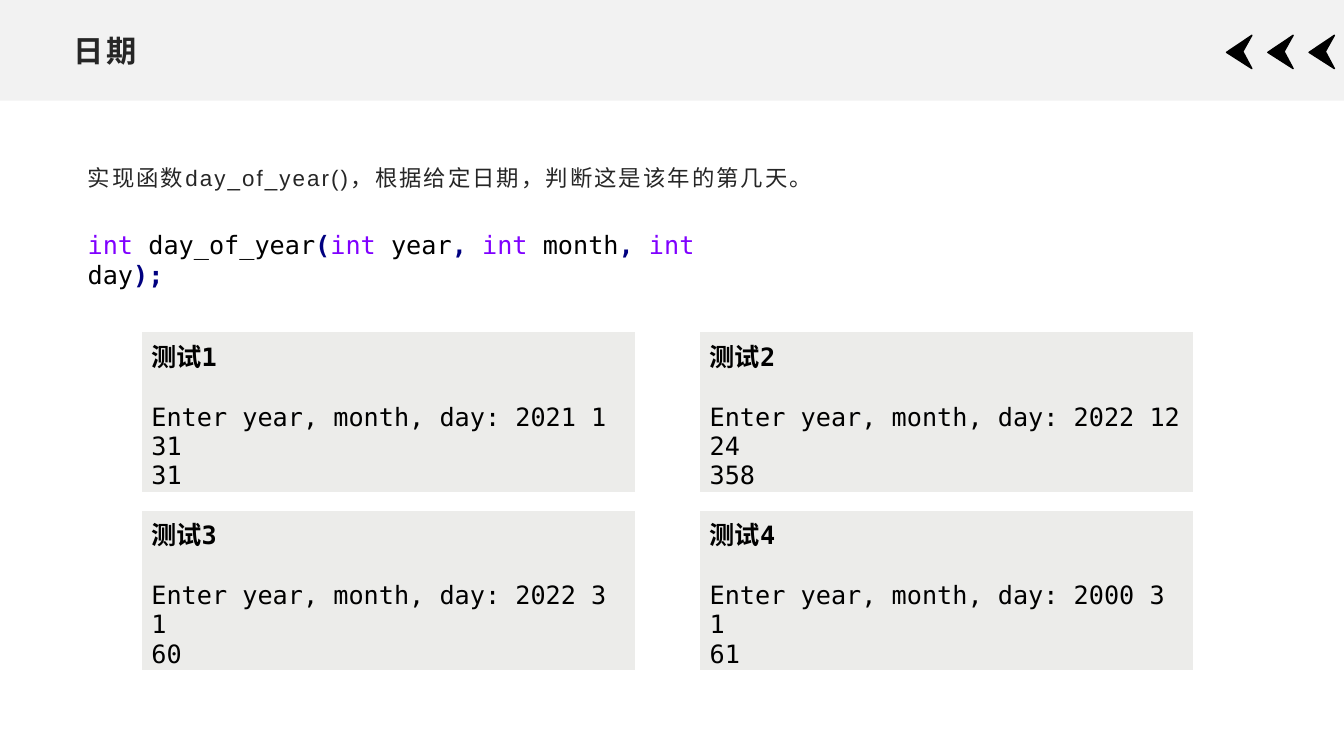
"""Build the slide that sets the day-of-year exercise with its four test cases."""
from dataclasses import dataclass

from pptx import Presentation
from pptx.dml.color import RGBColor
from pptx.enum.shapes import MSO_AUTO_SHAPE_TYPE as ShapeType
from pptx.enum.text import MSO_ANCHOR as Anchor
from pptx.shapes.base import BaseShape
from pptx.slide import Slide
from pptx.text.text import TextFrame, _Paragraph as Paragraph
from pptx.util import Cm, Pt


@dataclass(frozen=True)
class Theme:
    """Colours, fonts and type sizes of the slide."""
    band: str = "F2F2F2"
    panel: str = "ECECEA"
    heading: str = "262626"
    black: str = "000000"
    keyword: str = "8000FF"
    symbol: str = "000080"
    prose_font: str = "Arial"
    code_font: str = "DejaVu Sans Mono"
    title_size: float = 21.6
    body_size: float = 16
    code_size: float = 18
    title_tracking: float = 2
    body_tracking: float = 1.5
    code_line: float = 21


@dataclass(frozen=True)
class Box:
    """A rectangle measured in centimetres."""
    left: float
    top: float
    width: float
    height: float

    def lengths(self) -> tuple[Cm, Cm, Cm, Cm]:
        """Return left, top, width and height as lengths."""
        return Cm(self.left), Cm(self.top), Cm(self.width), Cm(self.height)


@dataclass(frozen=True)
class Token:
    """A piece of code with its colour and weight."""
    text: str
    color: str
    bold: bool = False


@dataclass(frozen=True)
class TestCase:
    """The date entered in a test and the expected answer."""
    date: str
    answer: str


THEME = Theme()
KEYWORD_INT = Token("int", THEME.keyword)
COMMA = Token(",", THEME.symbol, True)
SPACE = Token(" ", THEME.black)
SIGNATURE = [
    KEYWORD_INT, Token(" day_of_year", THEME.black), Token("(", THEME.symbol, True),
    KEYWORD_INT, Token(" year", THEME.black), COMMA, SPACE,
    KEYWORD_INT, Token(" month", THEME.black), COMMA, SPACE,
    KEYWORD_INT, Token(" day", THEME.black), Token(");", THEME.symbol, True),
]
TEST_CASES = [
    TestCase("2021 1 31", "31"),
    TestCase("2022 12 24", "358"),
    TestCase("2022 3 1", "60"),
    TestCase("2000 3 1", "61"),
]
FIRST_PANEL = Box(3.56, 8.36, 12.45, 3.4)
PANEL_STEP_X, PANEL_STEP_Y, PANEL_COLUMNS = 14.07, 4.5, 2
ARROW_LEFT, ARROW_TOP, ARROW_STEP, ARROW_COUNT = 30.91, 0.89, 1.04, 3
ARROW_OUTLINE = [(0.64, 0.84), (0, 0.43), (0.64, 0), (0.41, 0.41)]


def apply_format(target: object, values: dict[str, object]) -> None:
    """Set each named attribute on the target."""
    for name, value in values.items():
        setattr(target, name, value)


def add_run(paragraph: Paragraph, token: Token, font: str, size: float,
            tracking: float = 0) -> None:
    """Append a formatted run to a paragraph."""
    run = paragraph.add_run()
    run.text = token.text
    apply_format(run.font, {"name": font, "size": Pt(size), "bold": token.bold})
    run.font.color.rgb = RGBColor.from_string(token.color)
    if tracking:
        run.font._element.set("spc", str(round(tracking * 100)))


def add_text_frame(slide: Slide, box: Box, anchor: Anchor = Anchor.TOP) -> TextFrame:
    """Add a wrapping text box and return its text frame."""
    frame = slide.shapes.add_textbox(*box.lengths()).text_frame
    apply_format(frame, {"word_wrap": True, "vertical_anchor": anchor})
    return frame


def paint(shape: BaseShape, color: str) -> None:
    """Give a shape a solid fill and no shadow."""
    shape.shadow.inherit = False
    shape.fill.solid()
    shape.fill.fore_color.rgb = RGBColor.from_string(color)


def add_header(slide: Slide) -> None:
    """Draw the top band, its arrows and the title."""
    band = slide.shapes.add_shape(ShapeType.RECTANGLE, *Box(0, 0, 33.87, 2.54).lengths())
    paint(band, THEME.band)
    band.line.fill.background()
    arrows = slide.shapes.add_group_shape()
    for index in range(ARROW_COUNT):
        left = ARROW_LEFT + index * ARROW_STEP
        points = [(Cm(left + x), Cm(ARROW_TOP + y)) for x, y in ARROW_OUTLINE]
        builder = arrows.shapes.build_freeform(*points[0])
        builder.add_line_segments(points[1:], close=True)
        arrow = builder.convert_to_shape()
        paint(arrow, THEME.black)
        arrow.line.color.rgb = RGBColor.from_string(THEME.black)
        arrow.line.width = Pt(1)
    frame = add_text_frame(slide, Box(1.6, 0.66, 30.66, 1.22), Anchor.MIDDLE)
    add_run(frame.paragraphs[0], Token("日期", THEME.heading, True),
            THEME.prose_font, THEME.title_size, THEME.title_tracking)


def add_task(slide: Slide) -> None:
    """Write the exercise and the function signature."""
    paragraph = add_text_frame(slide, Box(1.96, 3.81, 19.13, 1.35)).paragraphs[0]
    apply_format(paragraph, {"line_spacing": 1.3, "space_after": Pt(10)})
    task = "实现函数day_of_year()，根据给定日期，判断这是该年的第几天。"
    add_run(paragraph, Token(task, THEME.heading),
            THEME.prose_font, THEME.body_size, THEME.body_tracking)
    signature = add_text_frame(slide, Box(1.96, 5.66, 16.46, 1.02)).paragraphs[0]
    for token in SIGNATURE:
        add_run(signature, token, THEME.code_font, THEME.code_size)


def add_test_panel(slide: Slide, index: int, case: TestCase) -> None:
    """Place one test case in the grid as a single-cell table."""
    row, column = divmod(index, PANEL_COLUMNS)
    box = Box(FIRST_PANEL.left + column * PANEL_STEP_X,
              FIRST_PANEL.top + row * PANEL_STEP_Y,
              FIRST_PANEL.width, FIRST_PANEL.height)
    cell = slide.shapes.add_table(1, 1, *box.lengths()).table.cell(0, 0)
    cell.fill.solid()
    cell.fill.fore_color.rgb = RGBColor.from_string(THEME.panel)
    frame = cell.text_frame
    heading = frame.paragraphs[0]
    heading.space_after = Pt(THEME.code_line)
    add_run(heading, Token(f"测试{index + 1}", THEME.black, True),
            THEME.code_font, THEME.code_size)
    for line in (f"Enter year, month, day: {case.date}", case.answer):
        add_run(frame.add_paragraph(), Token(line, THEME.black),
                THEME.code_font, THEME.code_size)


def main() -> None:
    """Build and save the presentation."""
    presentation = Presentation()
    apply_format(presentation, {"slide_width": Cm(33.87), "slide_height": Cm(19.05)})
    slide = presentation.slides.add_slide(presentation.slide_layouts[6])
    add_header(slide)
    add_task(slide)
    for index, case in enumerate(TEST_CASES):
        add_test_panel(slide, index, case)
    presentation.save("out.pptx")


if __name__ == "__main__":
    main()
